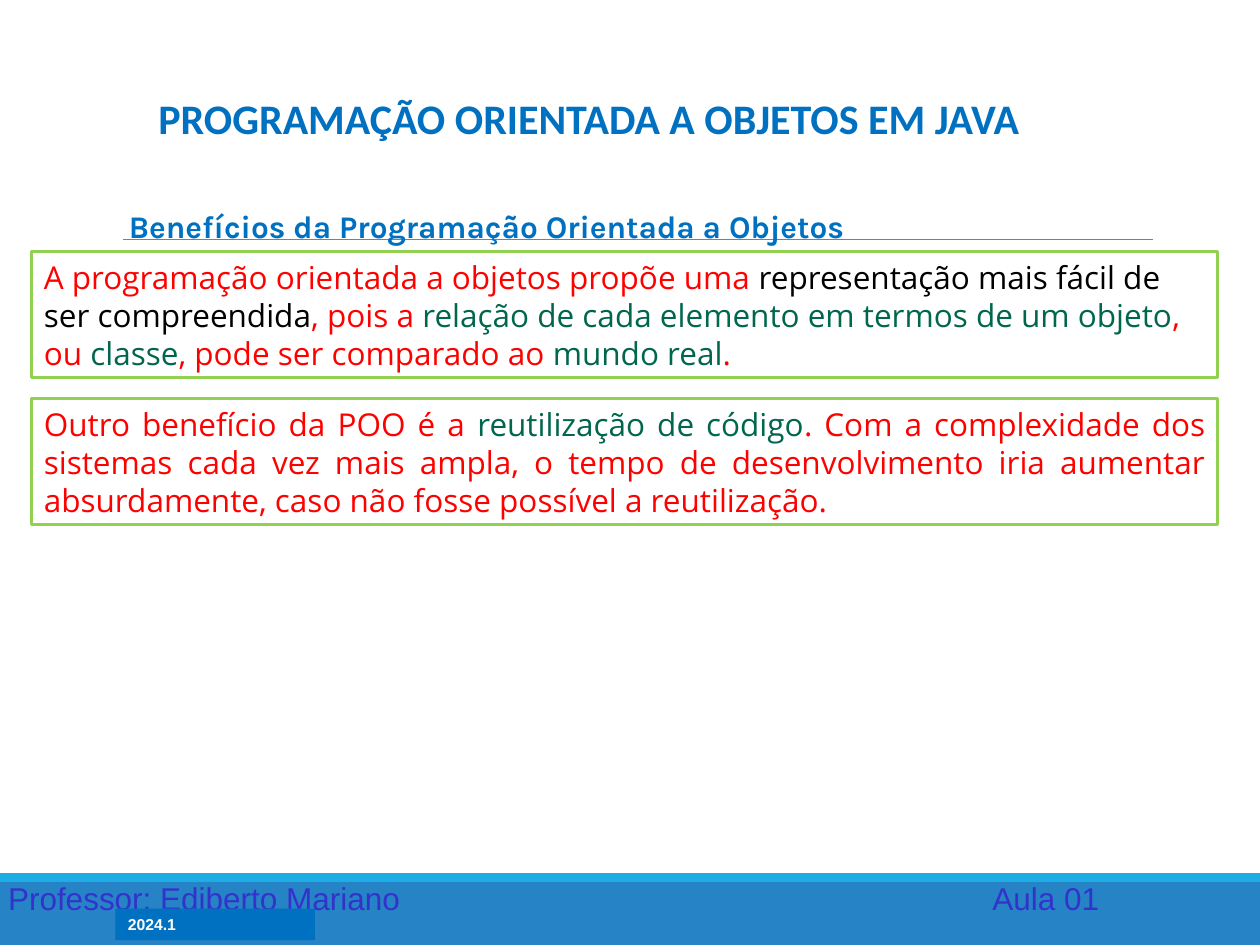
from pptx import Presentation
from pptx import util as u
from pptx.dml.color import RGBColor
from pptx.enum import shapes, text
from pptx.oxml.ns import qn
from lxml import etree

Pt = u.Pt
WHITE = RGBColor(0xFF, 0xFF, 0xFF)
BLACK = RGBColor(0, 0, 0)
RED = RGBColor(0xFF, 0, 0)
DARK_GREEN = RGBColor(0, 0x66, 0x4D)
LIME = RGBColor(0x92, 0xD0, 0x50)
BLUE = RGBColor(0, 0x70, 0xC0)
FOOTER_BLUE = RGBColor(0x26, 0x83, 0xC6)
FOOTER_EDGE = RGBColor(0x1C, 0xAD, 0xE4)
FOOTER_TEXT = RGBColor(0x33, 0x33, 0xCC)
GREY = RGBColor(0x7F, 0x7F, 0x7F)

BENEFITS = [
    (144, text.PP_ALIGN.LEFT, [
        ("A programação orientada a objetos propõe uma ", RED),
        ("representação mais fácil de ser compreendida", BLACK),
        (", pois a ", RED),
        ("relação de cada elemento em termos de um objeto", DARK_GREEN),
        (", ou ", RED),
        ("classe", DARK_GREEN),
        (", pode ser comparado ao ", RED),
        ("mundo real", DARK_GREEN),
        (".", RED),
    ]),
    (228, text.PP_ALIGN.JUSTIFY, [
        ("Outro benefício da POO é a ", RED),
        ("reutilização de código", DARK_GREEN),
        (". Com a complexidade dos sistemas cada vez mais ampla, o tempo de "
         "desenvolvimento iria aumentar absurdamente, caso não fosse possível "
         "a reutilização.", RED),
    ]),
]


def apply(target, **values):
    for name, value in values.items():
        setattr(target, name, value)


def write(box, spans, font, align=text.PP_ALIGN.LEFT, anchor=text.MSO_ANCHOR.TOP):
    """Fill a box with one paragraph of (wording, colour) spans."""
    apply(box.text_frame, word_wrap=True, vertical_anchor=anchor,
          auto_size=text.MSO_AUTO_SIZE.NONE)
    para = box.text_frame.paragraphs[0]
    para.alignment = align
    for wording, colour in spans:
        span = para.add_run()
        span.text = wording
        apply(span.font, **font)
        span.font.color.rgb = colour


def add_rectangle(page, left, top, width, height, fill=None, line=None):
    box = page.shapes.add_shape(shapes.MSO_SHAPE.RECTANGLE,
                                Pt(left), Pt(top), Pt(width), Pt(height))
    box.shadow.inherit = False
    if fill is None:
        box.fill.background()
    else:
        box.fill.solid()
        box.fill.fore_color.rgb = fill
    if line is None:
        box.line.fill.background()
    else:
        box.line.color.rgb = line
        box.line.width = Pt(1.75)
    return box


def add_label(page, left, top, width, wording, colour, **font):
    box = page.shapes.add_textbox(Pt(left), Pt(top), Pt(width), Pt(29))
    write(box, [(wording, colour)], font)


def add_rule(page, left, right, top):
    rule = page.shapes.add_connector(shapes.MSO_CONNECTOR.STRAIGHT,
                                     Pt(left), Pt(top), Pt(right), Pt(top))
    rule.line.color.rgb = GREY
    rule.line.width = Pt(0.5)
    etree.SubElement(rule._element.spPr, qn("a:effectLst"))


def set_title(page, wording):
    title = page.shapes.title
    apply(title, left=Pt(74), top=Pt(48), width=Pt(525), height=Pt(37.5))
    write(title, [(wording, BLUE)], dict(name="Calibri", size=Pt(24), bold=True),
          text.PP_ALIGN.CENTER, text.MSO_ANCHOR.BOTTOM)


def add_footer(page):
    add_rectangle(page, 0, 499, 720, 41, FOOTER_BLUE)
    add_rectangle(page, 0, 499, 720, 5, FOOTER_EDGE)
    for left, width, wording in [(-2.5, 300, "Professor: Ediberto Mariano"),
                                 (560, 90, "Aula 01")]:
        add_label(page, left, 498.5, width, wording, FOOTER_TEXT,
                  name="Arial", size=Pt(18))
    term = add_rectangle(page, 66, 519.25, 114, 18, BLUE)
    write(term, [("2024.1", WHITE)], dict(name="Arial", size=Pt(9), bold=True))


def main():
    deck = Presentation()
    apply(deck, slide_width=Pt(720), slide_height=Pt(540))
    page = deck.slides.add_slide(deck.slide_layouts[5])
    set_title(page, "PROGRAMAÇÃO ORIENTADA A OBJETOS EM JAVA")
    add_footer(page)
    add_rule(page, 70.5, 659, 136.75)
    add_label(page, 66.5, 114.5, 600, "Benefícios da Programação Orientada a Objetos",
              BLUE, name="Karla", size=Pt(18), bold=True)
    for top, align, spans in BENEFITS:
        box = add_rectangle(page, 18, top, 678, 72, line=LIME)
        write(box, spans, dict(name="Open Sans", size=Pt(18)), align)
    deck.save("out.pptx")


if __name__ == "__main__":
    main()
